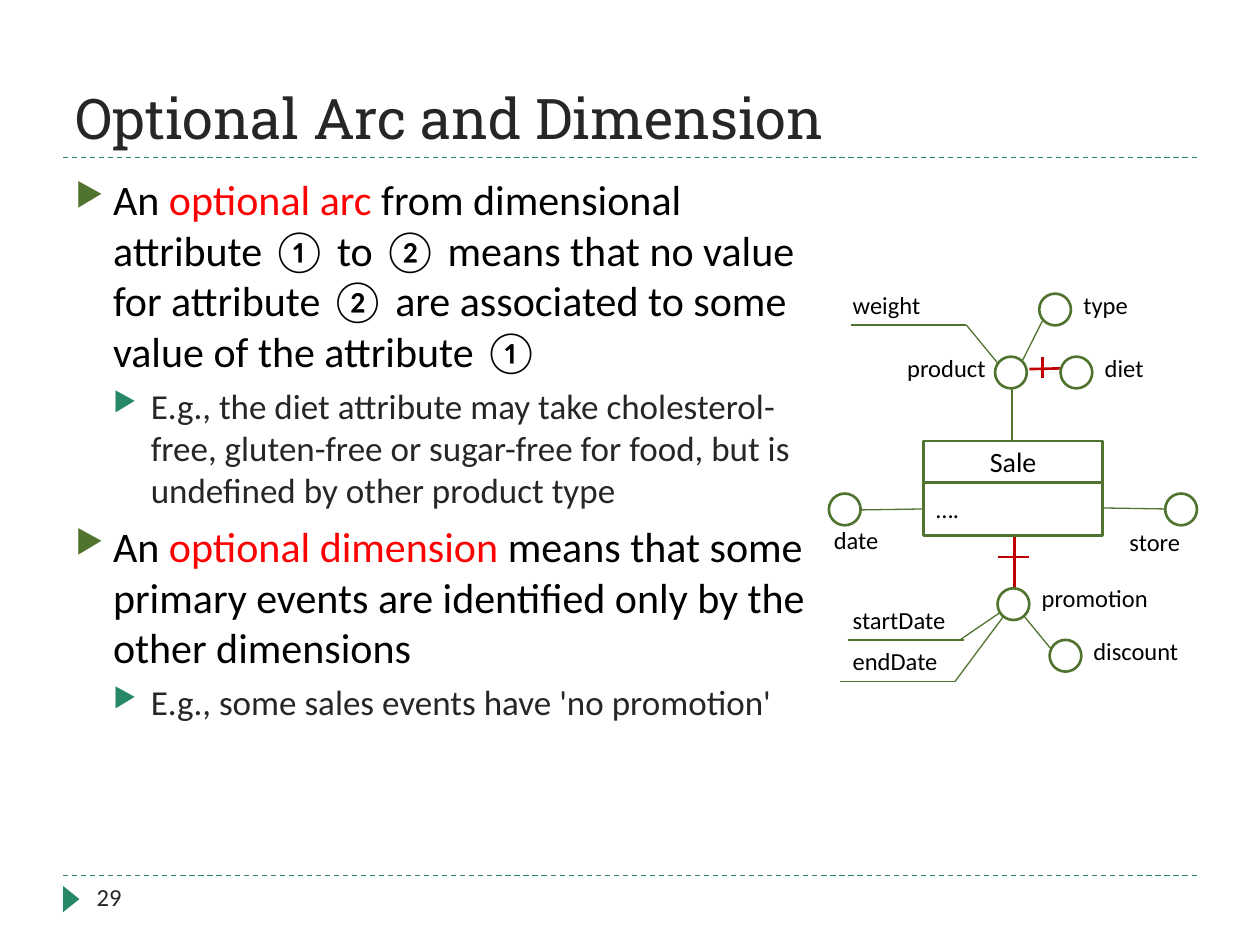
from dataclasses import dataclass

from lxml.etree import SubElement
from pptx import Presentation
from pptx.dml.color import RGBColor
from pptx.enum.dml import MSO_LINE_DASH_STYLE as Dash
from pptx.enum.shapes import MSO_CONNECTOR as Conn, MSO_SHAPE as Shape
from pptx.enum.text import MSO_ANCHOR as Anchor, MSO_AUTO_SIZE as AutoSize, PP_ALIGN as Align
from pptx.oxml.ns import qn
from pptx.util import Cm, Pt


@dataclass(frozen=True)
class Theme:
    heading: str = "Roboto Slab"
    body: str = "Calibri"
    black: str = "000000"
    white: str = "FFFFFF"
    grey: str = "262626"
    teal: str = "268868"
    green: str = "50742F"
    red: str = "FF0000"
    optional: str = "C00000"
    title_size: int = 32
    level_sizes: tuple = (24, 20)
    fact_size: int = 16
    label_size: int = 14
    thin: float = 0.75
    thick: float = 1.5


T = Theme()
NODE_SIZE = 0.64
LABEL_HEIGHT = 0.86

BULLETS = [
    (0, [("An ", T.black), ("optional arc ", T.red),
         ("from dimensional attribute ① to ② means that no value for attribute ② "
          "are associated to some value of the attribute ①", T.black)]),
    (1, [("E.g., the diet attribute may take cholesterol-free, gluten-free or "
          "sugar-free for food, but is undefined by other product type", T.grey)]),
    (0, [("An ", T.black), ("optional dimension ", T.red),
         ("means that some primary events are identified only by the other dimensions",
          T.black)]),
    (1, [("E.g., some sales events have 'no promotion'", T.grey)]),
]

# Arcs: x1, y1, x2, y2
ARCS = [
    (20.4, 7.82, 20.4, 8.89),      # product - Sale
    (21.29, 5.92, 20.6, 7.29),     # type - product
    (17.15, 6.55, 19.48, 6.55),    # weight
    (19.48, 6.55, 20.17, 7.39),
    (16.71, 10.29, 18.62, 10.26),  # date - Sale
    (22.23, 10.24, 23.5, 10.26),   # Sale - store
    (20.52, 12.27, 21.21, 13.11),  # promotion - discount
    (17.09, 12.9, 19.43, 12.9),    # startDate
    (20.42, 12.17, 19.35, 12.9),
    (16.94, 13.74, 19.25, 13.74),  # endDate
    (20.42, 12.17, 19.25, 13.74),
]
OPTIONAL_ARCS = [
    (20.75, 7.44, 21.64, 7.42), (21.01, 7.19, 21.01, 7.62),      # product - diet
    (20.45, 10.8, 20.45, 11.86), (20.12, 11.23, 20.75, 11.23),   # Sale - promotion
]

# Node centres: date, store, type, diet, product, promotion, discount
NODES = [(17.03, 10.27), (23.81, 10.27), (21.27, 6.24), (21.7, 7.51),
         (20.38, 7.51), (20.43, 12.18), (21.48, 13.22)]

# Labels: text, left, top, width, alignment
LABELS = [
    ("weight", 16.94, 5.72, 2.34, Align.LEFT),
    ("type", 21.59, 5.72, 2.34, Align.LEFT),
    ("product", 17.78, 6.99, 2.34, Align.RIGHT),
    ("diet", 22.02, 6.99, 2.34, Align.LEFT),
    ("date", 16.31, 10.46, 1.9, Align.CENTER),
    ("store", 22.43, 10.49, 1.7, Align.CENTER),
    ("promotion", 20.75, 11.63, 2.97, Align.LEFT),
    ("discount", 21.79, 12.7, 2.97, Align.LEFT),
    ("startDate", 16.94, 12.07, 2.54, Align.LEFT),
    ("endDate", 16.94, 12.9, 2.54, Align.LEFT),
]


def rgb(color):
    return RGBColor.from_string(color)


def add_run(p, text, size, color, font=T.body):
    r = p.add_run()
    r.text = text
    r.font.name, r.font.size = font, Pt(size)
    r.font.color.rgb = rgb(color)


def add_line(s, ends, color, width, dash=None):
    line = s.shapes.add_connector(Conn.STRAIGHT, *map(Cm, ends))
    line.line.color.rgb = rgb(color)
    line.line.width = Pt(width)
    if dash:
        line.line.dash_style = dash
    SubElement(line._element.spPr, qn("a:effectLst"))


def add_outlined(s, kind, box, fill, outline=None):
    sp = s.shapes.add_shape(kind, *map(Cm, box))
    sp.shadow.inherit = False
    sp.fill.solid()
    sp.fill.fore_color.rgb = rgb(fill)
    if outline:
        sp.line.color.rgb = rgb(outline)
        sp.line.width = Pt(T.thick)
    else:
        sp.line.fill.background()
    return sp


def add_node(s, x, y):
    box = (x - NODE_SIZE / 2, y - NODE_SIZE / 2, NODE_SIZE, NODE_SIZE)
    add_outlined(s, Shape.OVAL, box, T.white, T.green)


def add_compartment(s, box, text, size, align):
    tf = add_outlined(s, Shape.RECTANGLE, box, T.white, T.green).text_frame
    tf.vertical_anchor = Anchor.MIDDLE
    tf.paragraphs[0].alignment = align
    add_run(tf.paragraphs[0], text, size, T.black)


def add_text_frame(s, left, top, width, height):
    tf = s.shapes.add_textbox(Cm(left), Cm(top), Cm(width), Cm(height)).text_frame
    tf.word_wrap = True
    return tf


def add_label(s, text, left, top, width, align, color=T.black):
    p = add_text_frame(s, left, top, width, LABEL_HEIGHT).paragraphs[0]
    p.alignment = align
    add_run(p, text, T.label_size, color)


def set_bullet(p, level):
    pPr = p._p.get_or_add_pPr()
    pPr.set("marL", str(Cm(0.76 * (level + 1))))
    pPr.set("indent", str(-Cm(0.76)))
    color = SubElement(pPr, qn("a:buClr"))
    SubElement(color, qn("a:srgbClr"), val=(T.green, T.teal)[level])
    SubElement(pPr, qn("a:buSzPct"), val="76000")
    SubElement(pPr, qn("a:buChar"), char="▶")


def add_title(s, text):
    title = s.shapes.title
    title.left, title.top, title.width, title.height = map(Cm, (1.27, 0.43, 22.86, 2.74))
    tf = title.text_frame
    tf.auto_size = AutoSize.NONE
    tf.vertical_anchor = Anchor.BOTTOM
    tf.paragraphs[0].alignment = Align.LEFT
    add_run(tf.paragraphs[0], text, T.title_size, T.grey, T.heading)


def add_bullets(s):
    tf = add_text_frame(s, 1.27, 3.38, 15.24, 13.72)
    for i, (level, runs) in enumerate(BULLETS):
        p = tf.add_paragraph() if i else tf.paragraphs[0]
        p.level = level
        p.space_before = Pt((6, 5)[level])
        set_bullet(p, level)
        for text, color in runs:
            add_run(p, text, T.level_sizes[level], color)


def add_schema(s):
    for ends in ARCS:
        add_line(s, ends, T.green, T.thin)
    for ends in OPTIONAL_ARCS:
        add_line(s, ends, T.optional, T.thick)
    for x, y in NODES:
        add_node(s, x, y)
    add_compartment(s, (18.62, 9.73, 3.61, 1.07), "….", T.label_size, Align.LEFT)
    add_compartment(s, (18.62, 8.89, 3.61, 0.84), "Sale", T.fact_size, Align.CENTER)
    for label in LABELS:
        add_label(s, *label)


def main():
    prs = Presentation()
    prs.slide_width, prs.slide_height = Cm(25.4), Cm(19.05)
    s = prs.slides.add_slide(prs.slide_layouts[5])

    # Rules, page marker and page number
    for y in (3.18, 17.65):
        add_line(s, (1.27, y, 24.13, y), T.teal, T.thin, Dash.DASH)
    marker = add_outlined(s, Shape.ISOSCELES_TRIANGLE, (1.17, 17.96, 0.53, 0.33), T.teal)
    marker.rotation = 90
    add_label(s, "29", 1.7, 17.65, 5.51, Align.LEFT, T.grey)

    # Content
    add_title(s, "Optional Arc and Dimension")
    add_bullets(s)
    add_schema(s)
    prs.save("out.pptx")


main()
